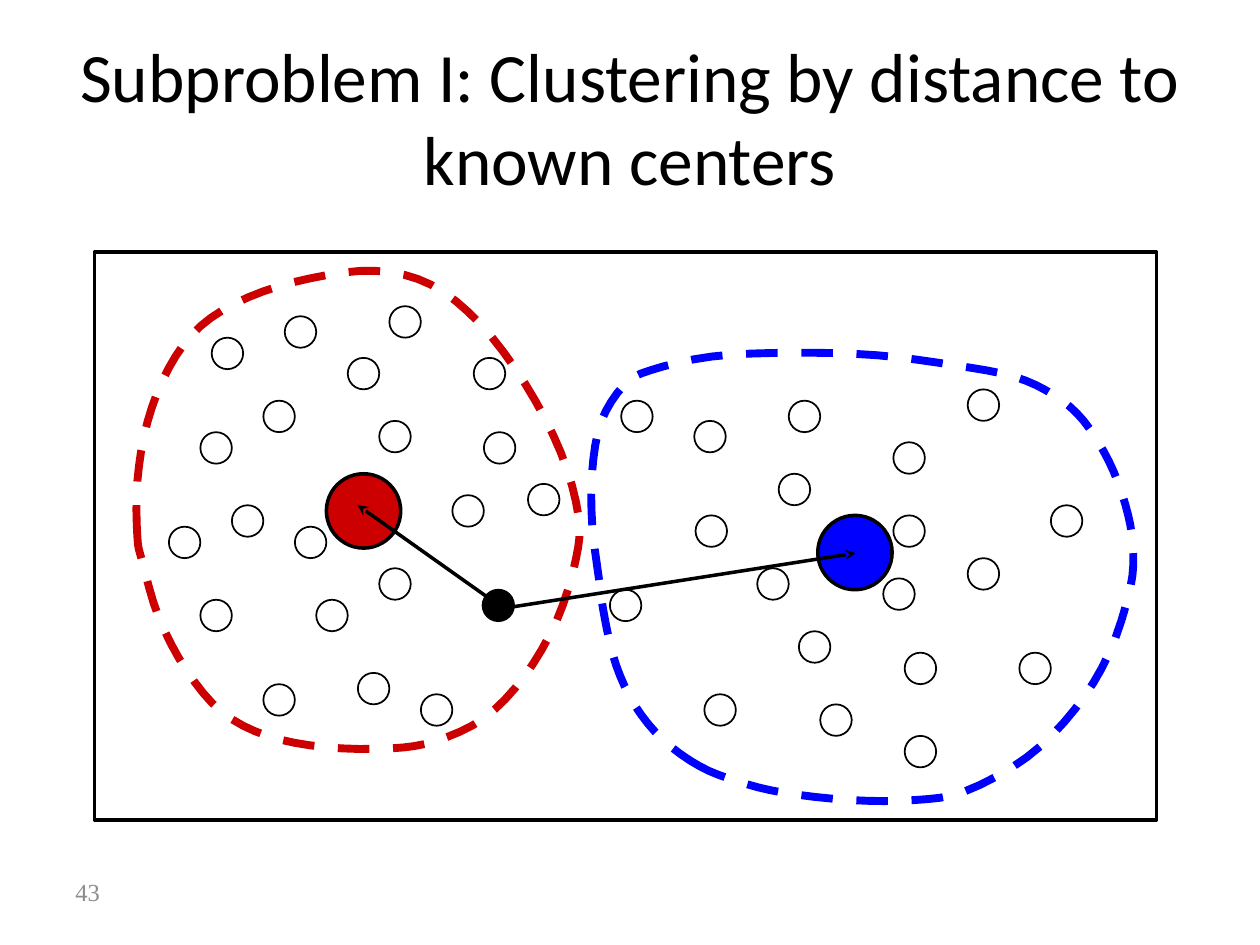
from pptx import Presentation, util as u
from pptx.dml.color import RGBColor
from pptx.enum import dml, shapes, text
from pptx.oxml.ns import qn
from lxml import etree

W, H = 10, 7.5
BLACK, RED, BLUE, GREY = "000000", "CC0000", "0000FF", "8C8C8C"
DOT, HUB = 0.25, 0.59
STEPS = 4

LABELS = [
    ("43", (0.5, 6.83, 2.33, 0.5), "Times New Roman", 14, GREY, text.PP_ALIGN.LEFT),
    ("Subproblem I: Clustering by distance to known centers",
     (0.5, 0.3, 9, 1.25), "Calibri", 39.6, BLACK, text.PP_ALIGN.CENTER),
]
FRAME = (0.75, 2, 8.43, 4.51)
DOTS = [
    (1.68, 2.68), (1.59, 3.43), (2.34, 4.18), (2.76, 2.84), (2.51, 4.76),
    (2.09, 3.18), (1.34, 4.18), (3.01, 3.34), (3.84, 3.43), (3.59, 3.93),
    (3.34, 5.51), (1.59, 4.76), (2.84, 5.34), (3.76, 2.84), (1.84, 4.01),
    (2.09, 5.43), (2.26, 2.51), (4.19, 3.84), (3.01, 4.51), (3.09, 2.43),
    (8.09, 5.18), (7.09, 4.09), (7.68, 3.09), (6.26, 3.18), (7.18, 5.84),
    (4.93, 3.18), (7.68, 4.43), (5.52, 4.09), (5.51, 3.34), (4.84, 4.68),
    (7.09, 3.51), (6.34, 5.01), (6.01, 4.51), (7.01, 4.59), (6.18, 3.76),
    (5.59, 5.51), (7.18, 5.18), (8.34, 4.01), (6.51, 5.59),
]
LOOPS = [
    (RED, [
        (1.09, 4.26), (1.09, 3.82), (1.17, 3.35), (1.34, 2.92), (1.59, 2.59),
        (1.97, 2.36), (2.46, 2.21), (2.98, 2.15), (3.42, 2.26), (3.81, 2.57),
        (4.17, 3.05), (4.45, 3.59), (4.59, 4.09), (4.57, 4.44), (4.42, 4.92),
        (4.16, 5.37), (3.84, 5.7), (3.46, 5.88), (3.1, 5.94), (2.58, 5.93),
        (2.12, 5.84), (1.76, 5.65), (1.48, 5.32), (1.26, 4.9), (1.13, 4.46)]),
    (BLUE, [
        (5.55, 6.08), (5.26, 5.87), (5.04, 5.6), (4.89, 5.28), (4.8, 4.91),
        (4.75, 4.57), (4.7, 4.16), (4.7, 3.74), (4.77, 3.35), (4.95, 3.06),
        (5.16, 2.94), (5.65, 2.83), (6.29, 2.8), (6.96, 2.82), (7.58, 2.9),
        (8.05, 2.99), (8.37, 3.14), (8.6, 3.34), (8.8, 3.66), (8.93, 4),
        (8.99, 4.32), (8.97, 4.67), (8.8, 5.19), (8.53, 5.63), (8.15, 6.01),
        (7.66, 6.28), (7.26, 6.35), (6.75, 6.35), (6.21, 6.29), (5.85, 6.2)]),
]
HUBS = [(3.83, 4.68, DOT, BLACK, 1), (2.59, 3.76, HUB, RED, 2), (6.49, 4.09, HUB, BLUE, 2)]
ARROWS = [(3.94, 4.79, 2.84, 4.01), (3.92, 4.84, 6.79, 4.39)]

deck = Presentation()
deck.slide_width, deck.slide_height = u.Inches(W), u.Inches(H)
page = deck.slides.add_slide(deck.slide_layouts[6]).shapes


def inch(vals):
    return [u.Inches(v) for v in vals]


def rgb(code):
    return RGBColor.from_string(code)


def style(item, color, width, fill=None):
    item.shadow.inherit = False
    item.line.color.rgb = rgb(color)
    item.line.width = u.Pt(width)
    if fill:
        item.fill.solid()
        item.fill.fore_color.rgb = rgb(fill)
    else:
        item.fill.background()


def form(kind, box, width, fill=None):
    style(page.add_shape(kind, *inch(box)), BLACK, width, fill)


def label(words, box, font, size, color, align):
    frame = page.add_textbox(*inch(box)).text_frame
    frame.word_wrap = True
    frame.vertical_anchor = text.MSO_ANCHOR.MIDDLE
    frame.text = words
    para = frame.paragraphs[0]
    para.alignment = align
    face = para.runs[0].font
    face.name, face.size = font, u.Pt(size)
    face.color.rgb = rgb(color)


def blend(a, b, c, d, t):
    return (2 * b + (c - a) * t + (2 * a - 5 * b + 4 * c - d) * t ** 2
            + (3 * b - a - 3 * c + d) * t ** 3) / 2


def smooth(knots):
    n = len(knots)
    for i in range(n):
        near = [knots[(i + k) % n] for k in (-1, 0, 1, 2)]
        for s in range(STEPS):
            yield inch(blend(*axis, s / STEPS) for axis in zip(*near))


def loop(color, knots):
    first, *rest = smooth(knots)
    pen = page.build_freeform(*first)
    pen.add_line_segments(rest, close=True)
    item = pen.convert_to_shape()
    style(item, color, 4.5)
    item.line.dash_style = dml.MSO_LINE.DASH


def arrow(ends):
    item = page.add_connector(shapes.MSO_CONNECTOR.STRAIGHT, *inch(ends))
    item.line.color.rgb = rgb(BLACK)
    item.line.width = u.Pt(2)
    etree.SubElement(item.line._get_or_add_ln(), qn("a:tailEnd"), type="stealth")
    etree.SubElement(item._element.spPr, qn("a:effectLst"))


for row in LABELS:
    label(*row)
form(shapes.MSO_SHAPE.RECTANGLE, FRAME, 2)
for x, y in DOTS:
    form(shapes.MSO_SHAPE.OVAL, (x, y, DOT, DOT), 1)
for color, knots in LOOPS:
    loop(color, knots)
for x, y, size, fill, width in HUBS:
    form(shapes.MSO_SHAPE.OVAL, (x, y, size, size), width, fill)
for ends in ARROWS:
    arrow(ends)

deck.save("out.pptx")
